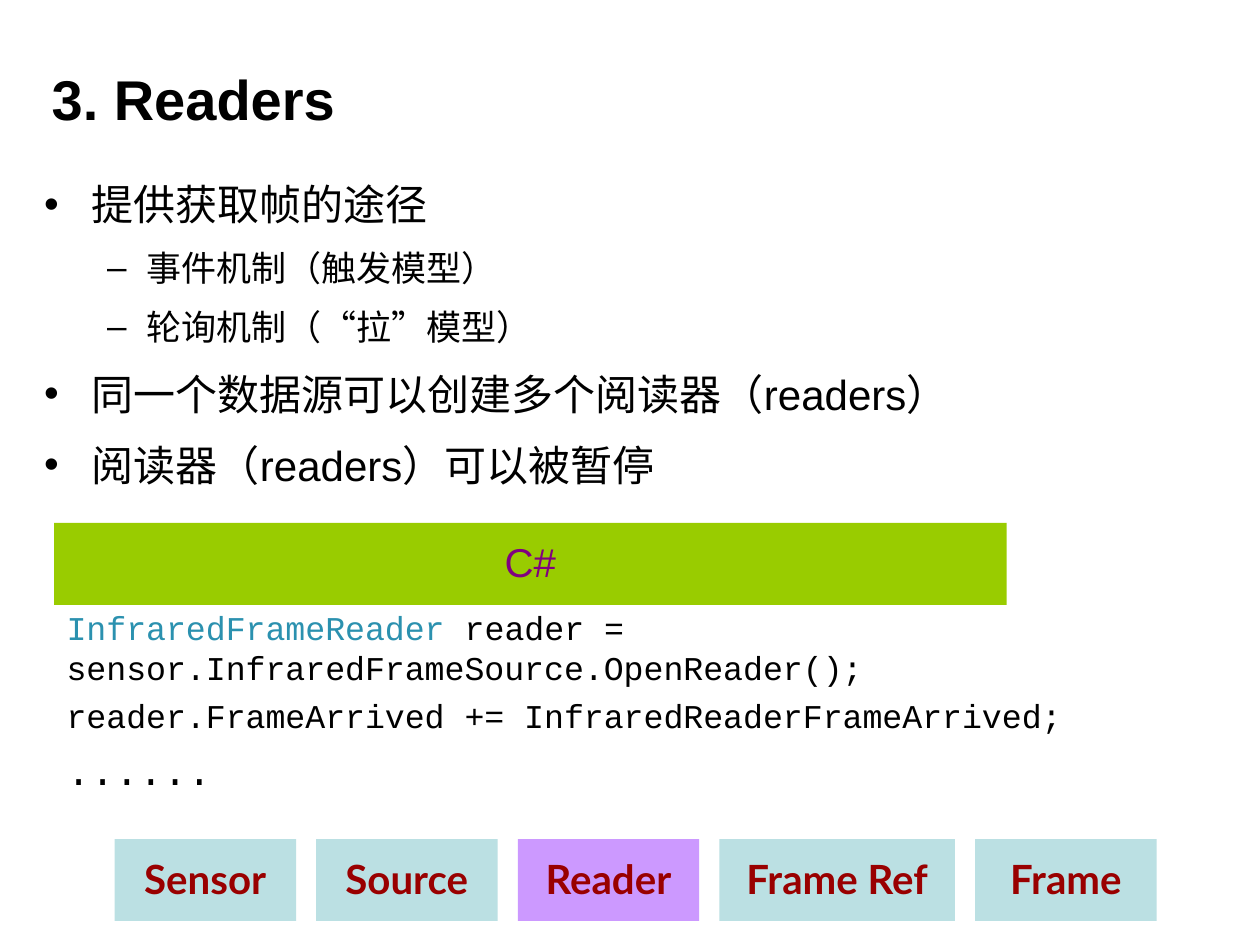
"""Build the slide on frame readers, with bullets, C# code and a pipeline."""
from lxml.etree import SubElement
from pptx import Presentation
from pptx.dml.color import RGBColor
from pptx.enum.shapes import MSO_SHAPE as Shape
from pptx.enum.text import MSO_ANCHOR as Anchor, MSO_AUTO_SIZE as AutoSize, PP_ALIGN as Align
from pptx.oxml.ns import qn
from pptx.util import Inches, Pt

COLOURS = {
    "black": "000000",
    "type": "2B91AF",
    "green": "99CC00",
    "purple": "800080",
    "stage": "BBE0E3",
    "current": "CC99FF",
    "label": "990000",
}
LEVELS = [
    {"bullet": "•", "margin": 0.38, "hang": 0.38, "size": 24, "before": 6},
    {"bullet": "–", "margin": 0.81, "hang": 0.31, "size": 20, "before": 5},
]
POINTS = [
    (0, "提供获取帧的途径"),
    (1, "事件机制（触发模型）"),
    (1, "轮询机制（“拉”模型）"),
    (0, "同一个数据源可以创建多个阅读器（readers）"),
    (0, "阅读器（readers）可以被暂停"),
]
CODE = [
    (19, 0, [("InfraredFrameReader", "type"),
             (" reader = sensor.InfraredFrameSource.OpenReader();", "black")]),
    (19, 4.8, [("reader.FrameArrived += InfraredReaderFrameArrived;", "black")]),
    (23, 5.8, [("......", "black")]),
]
STAGES = [
    ("Sensor", 1.44, "stage"),
    ("Source", 1.44, "stage"),
    ("Reader", 1.44, "current"),
    ("Frame Ref", 1.87, "stage"),
    ("Frame", 1.44, "stage"),
]
STAGE_LEFT, STAGE_TOP, STAGE_GAP, BAR_HEIGHT = 0.91, 6.66, 0.16, 0.65


def colour(name):
    return RGBColor.from_string(COLOURS[name])


def place(box, left, top, width, height):
    box.left, box.top = Inches(left), Inches(top)
    box.width, box.height = Inches(width), Inches(height)


def paragraphs(frame, count):
    return [frame.paragraphs[0]] + [frame.add_paragraph() for _ in range(count - 1)]


def add_span(para, text, size, ink="black", font="Arial", bold=False):
    span = para.add_run()
    span.text = text
    span.font.size = Pt(size)
    span.font.name = font
    span.font.bold = bold
    span.font.color.rgb = colour(ink)


def set_bullet(para, style):
    props = para._p.get_or_add_pPr()
    props.set("marL", str(Inches(style["margin"])))
    props.set("indent", str(-Inches(style["hang"])))
    tint = SubElement(props, qn("a:buClr"))
    SubElement(tint, qn("a:srgbClr")).set("val", COLOURS["black"])
    SubElement(props, qn("a:buFont")).set("typeface", "Arial")
    SubElement(props, qn("a:buChar")).set("char", style["bullet"])


def fill_title(title):
    place(title, 0.31, 0.2, 9.45, 1.16)
    frame = title.text_frame
    frame.auto_size = AutoSize.NONE
    frame.vertical_anchor = Anchor.MIDDLE
    para = frame.paragraphs[0]
    para.alignment = Align.LEFT
    add_span(para, "3. Readers", 32, bold=True)


def fill_points(body):
    place(body, 0.25, 1.29, 9.6, 5.39)
    frame = body.text_frame
    frame.auto_size = AutoSize.NONE
    for index, (para, (level, text)) in enumerate(zip(paragraphs(frame, len(POINTS)), POINTS)):
        style = LEVELS[level]
        set_bullet(para, style)
        para.level = level
        para.line_spacing = 1.2
        para.space_before = Pt(style["before"] if index else 0)
        add_span(para, text, style["size"])


def add_bar(shapes, text, left, top, width, fill, ink, font, bold):
    bar = shapes.add_shape(Shape.RECTANGLE, Inches(left), Inches(top),
                           Inches(width), Inches(BAR_HEIGHT))
    bar.shadow.inherit = False
    bar.fill.solid()
    bar.fill.fore_color.rgb = colour(fill)
    bar.line.fill.background()
    frame = bar.text_frame
    frame.margin_left = frame.margin_right = Inches(0.2)
    frame.margin_top = frame.margin_bottom = Inches(0.16)
    frame.vertical_anchor = Anchor.TOP
    frame.word_wrap = False
    para = frame.paragraphs[0]
    para.alignment = Align.CENTER
    para.line_spacing = 0.9
    add_span(para, text, 23, ink, font, bold)


def add_code(shapes):
    box = shapes.add_textbox(Inches(0.43), Inches(4.77), Inches(8.99), Inches(1.81))
    frame = box.text_frame
    frame.word_wrap = True
    for para, (size, before, spans) in zip(paragraphs(frame, len(CODE)), CODE):
        para.space_before = Pt(before)
        for text, ink in spans:
            add_span(para, text, size, ink, "Courier New")


def add_pipeline(shapes):
    group = shapes.add_group_shape()
    left = STAGE_LEFT
    for text, width, fill in STAGES:
        add_bar(group.shapes, text, left, STAGE_TOP, width, fill, "label", "Lato", True)
        left += width + STAGE_GAP


def main():
    deck = Presentation()
    deck.slide_width, deck.slide_height = Inches(10), Inches(7.5)
    page = deck.slides.add_slide(deck.slide_layouts[1])
    fill_points(page.placeholders[1])
    fill_title(page.shapes.title)
    add_pipeline(page.shapes)
    add_bar(page.shapes, "C#", 0.43, 4.15, 7.56, "green", "purple", "Arial", False)
    add_code(page.shapes)
    deck.save("out.pptx")


if __name__ == "__main__":
    main()
